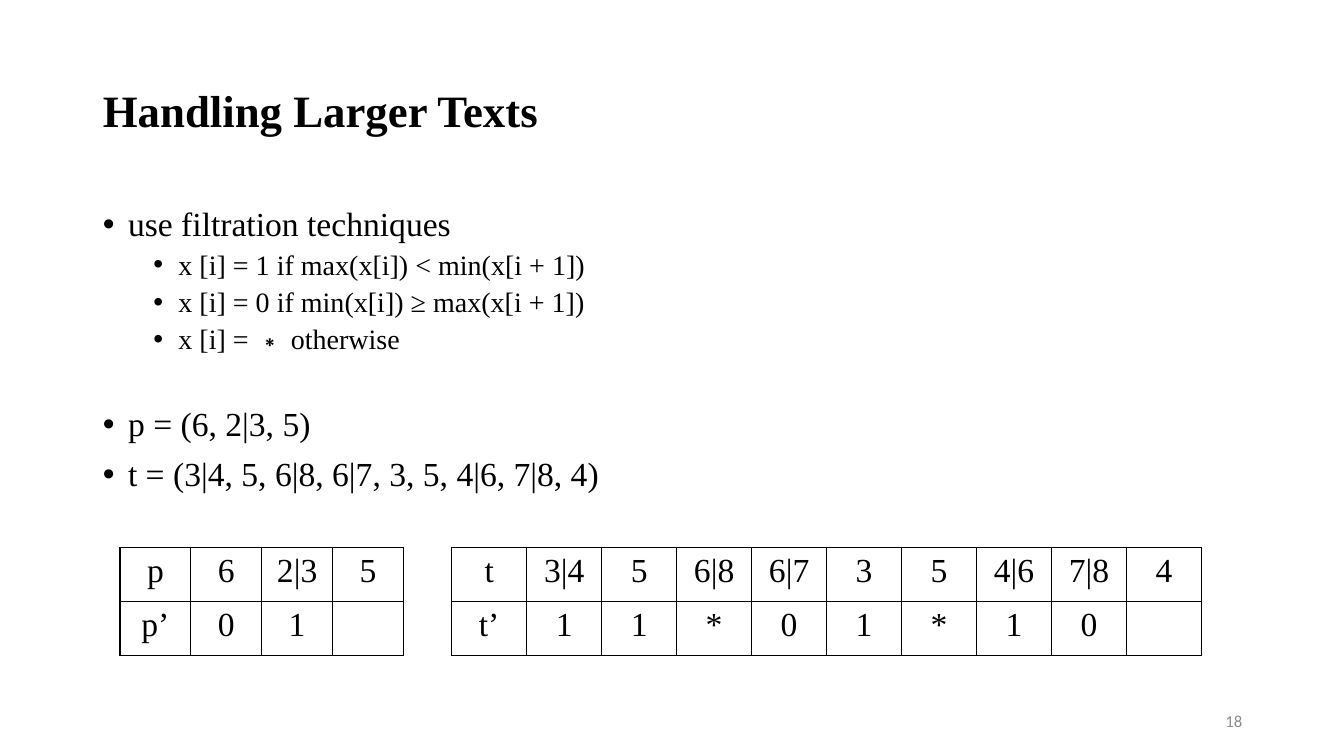
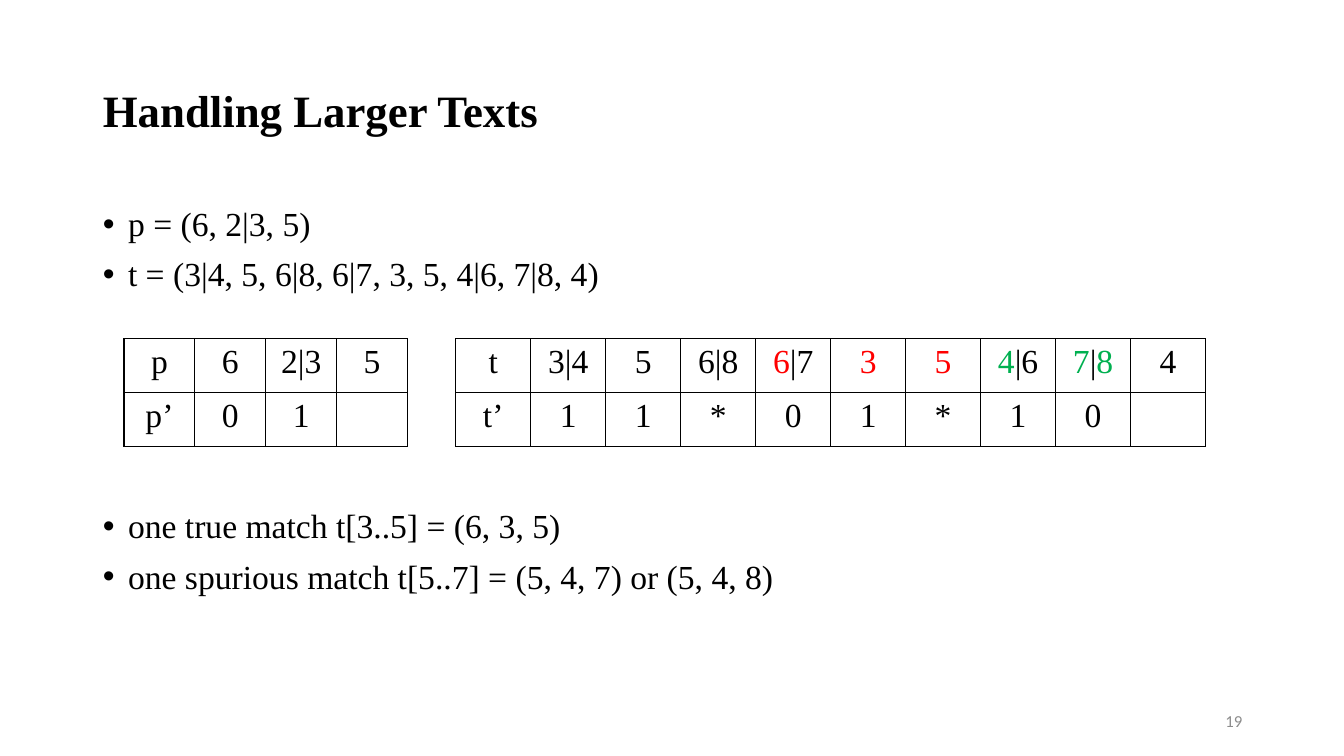
from lxml import etree
from pptx import Presentation
from pptx.dml.color import RGBColor
from pptx.enum.text import MSO_ANCHOR, MSO_AUTO_SIZE, PP_ALIGN
from pptx.oxml.ns import qn
from pptx.util import Inches, Pt

LEFT, CENTER, RIGHT = PP_ALIGN.LEFT, PP_ALIGN.CENTER, PP_ALIGN.RIGHT
MIDDLE, TOP = MSO_ANCHOR.MIDDLE, MSO_ANCHOR.TOP
NO_AUTOFIT = MSO_AUTO_SIZE.NONE

COLORS = {"ink": "000000", "paper": "FFFFFF", "muted": "8C8C8C",
          "true": "FF0000", "spurious": "00B050"}
SERIF, SANS = "Times New Roman", "Calibri"

MARGIN = 0.92
TITLE_BOX = (MARGIN, 0.4, 11.5, 1.45)
BODY_BOX = (MARGIN, 2.01, 11.81, 4.86)
NUMBER_BOX = (9.42, 6.95, 3, 0.4)
ROW_HEIGHT = 0.535
PATTERN_COLUMN, TEXT_COLUMN = 0.703, 0.744
TABLE_OFFSET = 3.29  # from the left of the pattern table to the text table

# Per list level: font size, left indent, space before
LEVELS = [(24, 0.25, 10), (20, 0.75, 5)]

PATTERN = [["p", "6", "2|3", "5"],
           ["p’", "0", "1", ""]]
TEXT = [["t", "3|4", "5", "6|8", "6|7", "3", "5", "4|6", "7|8", "4"],
        ["t’", "1", "1", "*", "0", "1", "*", "1", "0", ""]]
# Header cells with coloured runs, by column
MATCHES = {4: [("6", "true"), ("|7", "ink")],
           5: [("3", "true")],
           6: [("5", "true")],
           7: [("4", "spurious"), ("|6", "ink")],
           8: [("7", "spurious"), ("|", "ink"), ("8", "spurious")]}
MARKED_TEXT = [[MATCHES.get(i, value) for i, value in enumerate(TEXT[0])], TEXT[1]]

P_LINE = "p = (6, 2|3, 5)"
T_LINE = "t = (3|4, 5, 6|8, 6|7, 3, 5, 4|6, 7|8, 4)"

# Bullets are (level, text, space before or None for the level's own)
SLIDES = [
    {"number": "18", "tables_at": (1.19, 5.43), "tables": (PATTERN, TEXT),
     "bullets": [(0, "use filtration techniques", 0),
                 (1, "x [i] = 1 if max(x[i]) < min(x[i + 1])", None),
                 (1, "x [i] = 0 if min(x[i]) ≥ max(x[i + 1])", None),
                 (1, "x [i] = ∗ otherwise", None),
                 (0, P_LINE, 37),
                 (0, T_LINE, None)]},
    {"number": "19", "tables_at": (1.23, 3.36), "tables": (PATTERN, MARKED_TEXT),
     "bullets": [(0, P_LINE, 0),
                 (0, T_LINE, None),
                 (0, "one true match t[3..5] = (6, 3, 5)", 154),
                 (0, "one spurious match t[5..7] = (5, 4, 7) or (5, 4, 8)", None)]},
]


def style(font, size, name=SERIF, color="ink", bold=False):
    font.size, font.name, font.bold = Pt(size), name, bold
    font.color.rgb = RGBColor.from_string(COLORS[color])


def place(shape, box, anchor):
    """Move a text shape to a box in inches and fix its text frame."""
    shape.left, shape.top, shape.width, shape.height = map(Inches, box)
    frame = shape.text_frame
    frame.word_wrap, frame.auto_size, frame.vertical_anchor = True, NO_AUTOFIT, anchor
    return frame


presentation = Presentation()
presentation.slide_width, presentation.slide_height = Inches(13.33), Inches(7.5)

for content in SLIDES:
    slide = presentation.slides.add_slide(presentation.slide_layouts[1])

    frame = place(slide.shapes.title, TITLE_BOX, MIDDLE)
    frame.text = "Handling Larger Texts"
    paragraph = frame.paragraphs[0]
    paragraph.alignment, paragraph.line_spacing = LEFT, 0.9
    style(paragraph.font, 32, bold=True)

    number = slide.shapes.add_textbox(*map(Inches, NUMBER_BOX))
    frame = place(number, NUMBER_BOX, MIDDLE)
    frame.text = content["number"]
    frame.paragraphs[0].alignment = RIGHT
    style(frame.paragraphs[0].font, 12, SANS, "muted")

    frame = place(slide.placeholders[1], BODY_BOX, TOP)
    for i, (level, text, space) in enumerate(content["bullets"]):
        size, indent, level_space = LEVELS[level]
        paragraph = frame.add_paragraph() if i else frame.paragraphs[0]
        paragraph.text, paragraph.level = text, level
        properties = paragraph._p.get_or_add_pPr()
        properties.set("marL", str(Inches(indent)))
        properties.set("indent", str(Inches(-0.25)))
        etree.SubElement(properties, qn("a:buFont"), typeface="Arial")
        etree.SubElement(properties, qn("a:buChar"), char="•")
        paragraph.line_spacing = 0.9
        paragraph.space_before = Pt(level_space if space is None else space)
        style(paragraph.font, size)

    left, top = content["tables_at"]
    for i, (rows, column) in enumerate(zip(content["tables"], (PATTERN_COLUMN, TEXT_COLUMN))):
        columns = len(rows[0])
        table = slide.shapes.add_table(
            len(rows), columns, Inches(left + i * TABLE_OFFSET), Inches(top),
            Inches(column * columns), Inches(ROW_HEIGHT * len(rows))).table
        table.first_row = table.horz_banding = False
        for r, row in enumerate(rows):
            for c, value in enumerate(row):
                cell = table.cell(r, c)
                properties = cell._tc.get_or_add_tcPr()
                for side in ("lnL", "lnR", "lnT", "lnB"):
                    line = etree.SubElement(properties, qn("a:" + side), w=str(Pt(1)))
                    fill = etree.SubElement(line, qn("a:solidFill"))
                    etree.SubElement(fill, qn("a:srgbClr"), val=COLORS["ink"])
                cell.fill.solid()
                cell.fill.fore_color.rgb = RGBColor.from_string(COLORS["paper"])
                paragraph = cell.text_frame.paragraphs[0]
                paragraph.alignment = CENTER
                style(paragraph.font, 24)
                if isinstance(value, str):
                    paragraph.text = value
                    continue
                for text, color in value:
                    run = paragraph.add_run()
                    run.text = text
                    run.font.color.rgb = RGBColor.from_string(COLORS[color])

presentation.save("out.pptx")
